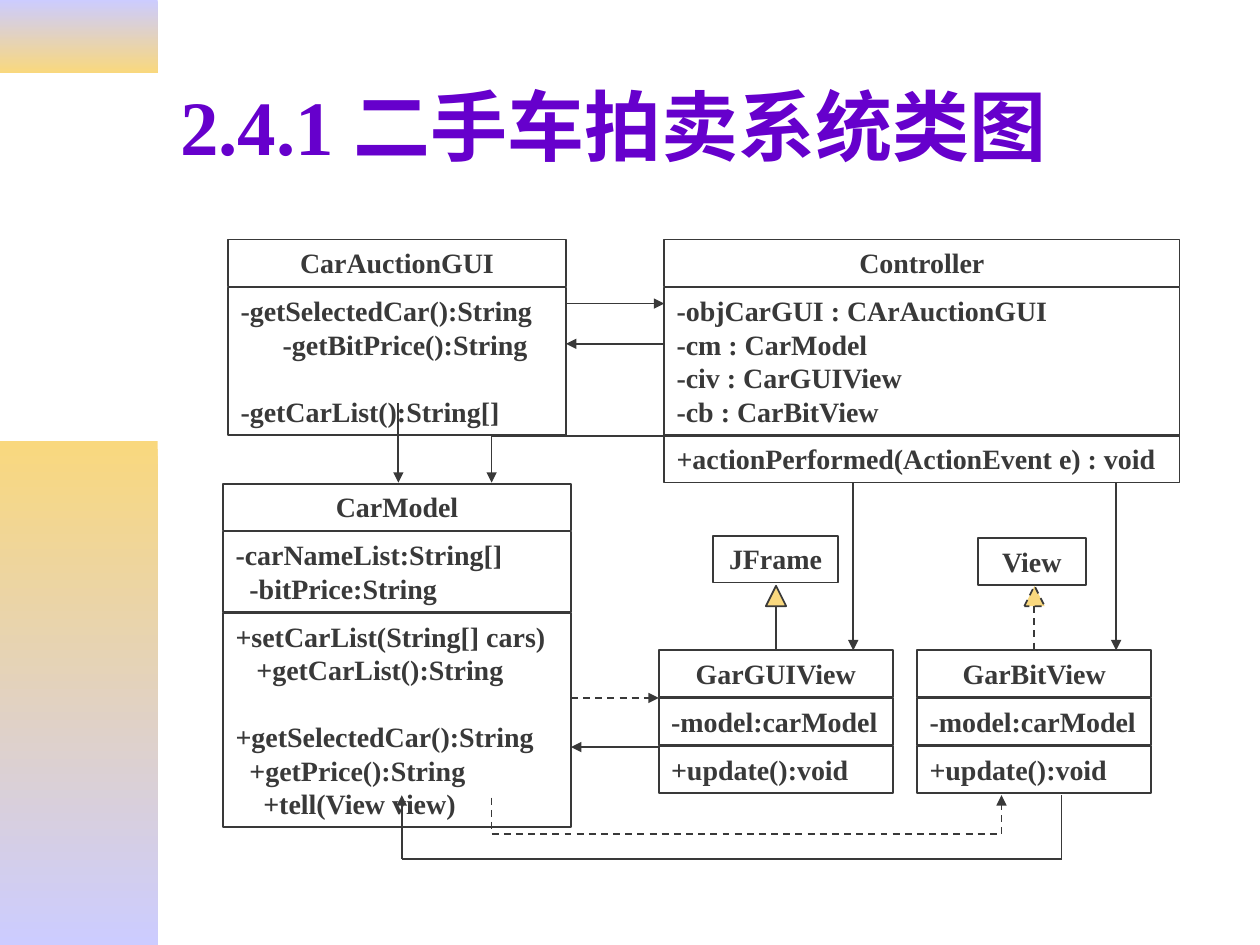
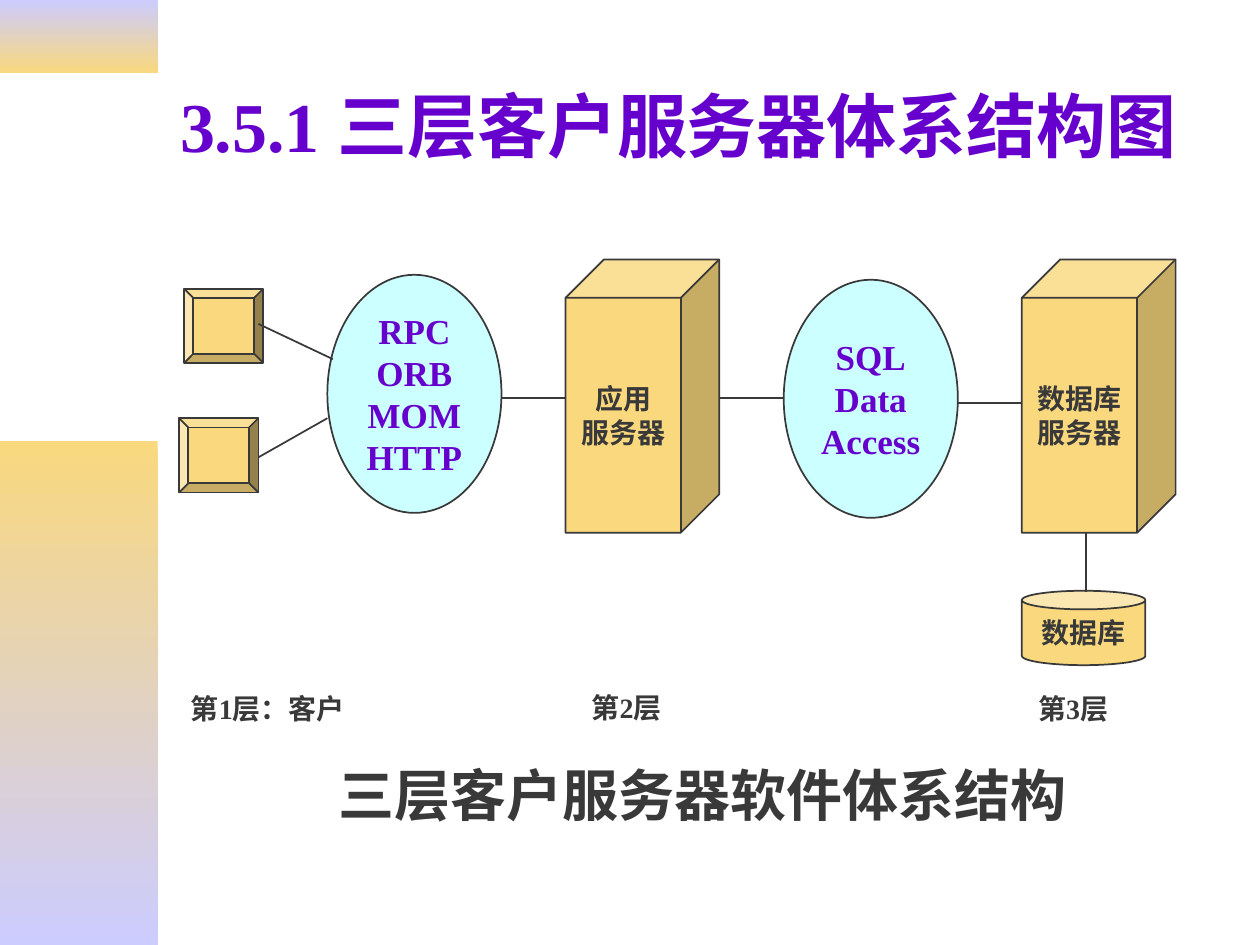
from dataclasses import dataclass
from itertools import pairwise

from lxml import etree
from pptx import Presentation
from pptx.dml.color import RGBColor
from pptx.enum import dml, shapes, text
from pptx.oxml.ns import qn
from pptx.util import Cm, Pt


@dataclass(frozen=True)
class Theme:
    """Colours, type sizes and line width shared by the slides."""
    font: str = "Times New Roman"
    ink: str = "393939"
    purple: str = "6600CC"
    gold: str = "F9D87E"
    lilac: str = "CCCCFF"
    aqua: str = "CCFFFF"
    body_size: int = 16
    oval_size: int = 20
    caption_size: int = 32
    line_width: float = 1


@dataclass(frozen=True)
class Box:
    """A rectangle in centimetres."""
    left: float
    top: float
    width: float
    height: float

    def inner(self, left, top, width, height):
        """Return a box placed relative to this one."""
        return Box(self.left + left, self.top + top, width, height)

    def point(self, x, y):
        """Return a point placed relative to this box."""
        return self.left + x, self.top + y

    def lengths(self):
        """Return the four lengths for python-pptx."""
        return [Cm(value) for value in (self.left, self.top, self.width, self.height)]


@dataclass(frozen=True)
class Line:
    """One line of text with its indent in centimetres and space before in points."""
    words: str
    indent: float = 0
    before: float = 0


THEME = Theme()
SHAPE = shapes.MSO_SHAPE
ALIGN = text.PP_ALIGN
ANCHOR = text.MSO_ANCHOR
SKIPPED_LINE = 19
TITLE_BOX = Box(3.38, 0.84, 21.59, 3.35)
CAPTION_BOX = Box(3.38, 15.21, 21.59, 1.7)


def write(shape, lines, *, size=THEME.body_size, color=THEME.ink,
          align=ALIGN.LEFT, anchor=ANCHOR.TOP, wrap=True):
    """Write lines of bold text into a shape."""
    frame = shape.text_frame
    frame.word_wrap = wrap
    frame.vertical_anchor = anchor
    for index, line in enumerate(lines):
        line = line if isinstance(line, Line) else Line(line)
        paragraph = frame.paragraphs[0] if index == 0 else frame.add_paragraph()
        paragraph.alignment = align
        paragraph.space_before = Pt(line.before)
        if line.indent:
            paragraph._p.get_or_add_pPr().set("marL", str(Cm(line.indent)))
        run = paragraph.add_run()
        run.text = line.words
        run.font.name = THEME.font
        run.font.size = Pt(size)
        run.font.bold = True
        run.font.color.rgb = RGBColor.from_string(color)


def add_label(slide, box, words, **text_format):
    """Add a text box holding one line."""
    write(slide.shapes.add_textbox(*box.lengths()), [words], **text_format)


def style_line(line, dashed=False):
    """Give a line the common colour, width and dash."""
    line.color.rgb = RGBColor.from_string(THEME.ink)
    line.width = Pt(THEME.line_width)
    if dashed:
        line.dash_style = dml.MSO_LINE.DASH


def add_figure(slide, kind, box, fill=None, dashed=False):
    """Add an outlined shape, filled when a colour is given."""
    shape = slide.shapes.add_shape(kind, *box.lengths())
    shape.shadow.inherit = False
    if fill:
        shape.fill.solid()
        shape.fill.fore_color.rgb = RGBColor.from_string(fill)
    else:
        shape.fill.background()
    style_line(shape.line, dashed)
    return shape


def add_route(slide, points, dashed=False, arrow=False):
    """Join points with straight connectors and return the last one."""
    for (x1, y1), (x2, y2) in pairwise(points):
        connector = slide.shapes.add_connector(
            shapes.MSO_CONNECTOR.STRAIGHT, Cm(x1), Cm(y1), Cm(x2), Cm(y2))
        style_line(connector.line, dashed)
        etree.SubElement(connector._element.spPr, qn("a:effectLst"))
    if arrow:
        etree.SubElement(connector.line._get_or_add_ln(), qn("a:tailEnd"), type="triangle")
    return connector


def add_band(slide, box, top_color, bottom_color):
    """Add a side band that blends downwards between two colours."""
    band = slide.shapes.add_shape(SHAPE.RECTANGLE, *box.lengths())
    band.shadow.inherit = False
    band.line.fill.background()
    band.fill.gradient()
    band.fill.gradient_angle = 270
    for stop, position, color in zip(band.fill.gradient_stops, (0, 1), (top_color, bottom_color)):
        stop.position = position
        stop.color.rgb = RGBColor.from_string(color)


def add_slide(presentation, title, title_size):
    """Add a slide with the side bands and a title."""
    slide = presentation.slides.add_slide(presentation.slide_layouts[6])
    add_band(slide, Box(0, 0, 3.18, 1.47), THEME.lilac, THEME.gold)
    add_band(slide, Box(0, 8.89, 3.18, 10.16), THEME.gold, THEME.lilac)
    add_label(slide, TITLE_BOX, title, size=title_size,
              color=THEME.purple, anchor=ANCHOR.MIDDLE)
    return slide


def add_class(slide, box, name, *sections):
    """Stack a class name and its sections, and return the name row."""
    top, rows = 0, []
    for lines in ([name], *sections):
        line_count = len(lines) + sum(
            isinstance(line, Line) and line.before > 0 for line in lines)
        height = 0.27 + 0.675 * line_count
        row = add_figure(slide, SHAPE.RECTANGLE, box.inner(0, top, box.width, height))
        write(row, lines, align=ALIGN.LEFT if rows else ALIGN.CENTER)
        rows.append(row)
        top += height + 0.02
    return rows[0]


def add_inheritance(slide, area, child_name, center, dashed=False):
    """Draw a hollow arrow upwards from a class name row."""
    add_figure(slide, SHAPE.ISOSCELES_TRIANGLE, area.inner(center - 0.2, 7.01, 0.41, 0.41),
               THEME.gold, dashed)
    stem = add_route(slide, [area.point(center, 7.42), area.point(center, 8.31)], dashed)
    stem.end_connect(child_name, 0)


def draw_class_diagram(slide, area):
    """Draw the auction classes and their relations inside an area."""
    add_class(slide, area.inner(0.1, 0.03, 6.81, 3.95), "CarAuctionGUI", [
        "-getSelectedCar():String",
        Line("-getBitPrice():String", indent=0.85),
        Line("-getCarList():String[]", before=SKIPPED_LINE)])
    add_class(slide, area.inner(8.89, 0.03, 10.39, 4.9), "Controller", [
        "-objCarGUI : CArAuctionGUI", "-cm : CarModel",
        "-civ : CarGUIView", "-cb : CarBitView",
    ], ["+actionPerformed(ActionEvent e) : void"])
    add_class(slide, area.inner(0, 4.95, 7.01, 6.92), "CarModel", [
        "-carNameList:String[]",
        Line("-bitPrice:String", indent=0.28),
    ], [
        "+setCarList(String[] cars)",
        Line("+getCarList():String", indent=0.42),
        Line("+getSelectedCar():String", before=SKIPPED_LINE),
        Line("+getPrice():String", indent=0.28),
        Line("+tell(View view)", indent=0.56)])
    add_class(slide, area.inner(9.88, 6, 2.51, 0.95), "JFrame")
    add_class(slide, area.inner(15.21, 6.05, 2.18, 0.95), "View")

    for name, left, dashed in (("GarGUIView", 8.78, False), ("GarBitView", 13.99, True)):
        view_box = area.inner(left, 8.31, 4.72, 2.88)
        view_name = add_class(slide, view_box, name, ["-model:carModel"], ["+update():void"])
        add_inheritance(slide, area, view_name, left + view_box.width / 2, dashed)

    solid_routes = [
        [(12.7, 4.93), (12.7, 8.31)],
        [(18, 4.93), (18, 8.31)],
        [(6.91, 1.32), (8.89, 1.32)],
        [(8.89, 2.13), (6.91, 2.13)],
        [(3.53, 3.33), (3.53, 4.93)],
        [(8.89, 3.99), (5.41, 3.99), (5.41, 4.93)],
        [(8.78, 10.26), (7.01, 10.26)],
        [(16.9, 11.23), (16.9, 12.52), (3.6, 12.52), (3.6, 11.23)],
    ]
    dashed_routes = [
        [(7.01, 9.27), (8.78, 9.27)],
        [(5.41, 11.28), (5.41, 12.01), (15.69, 12.01), (15.69, 11.23)],
    ]
    for routes, dashed in ((solid_routes, False), (dashed_routes, True)):
        for route in routes:
            add_route(slide, [area.point(*corner) for corner in route], dashed, arrow=True)


def draw_tiers(slide, area):
    """Draw clients, middleware, servers and tier labels inside an area."""
    centered = dict(align=ALIGN.CENTER, anchor=ANCHOR.MIDDLE, wrap=False)
    for left, top in ((0.11, 0.62), (0.01, 3.23)):
        client = add_figure(slide, SHAPE.BEVEL, area.inner(left, top, 1.6, 1.5), THEME.gold)
        client.adjustments[0] = 0.125
    for left, top, protocols in ((3, 0.34, ["RPC", "ORB", "MOM", "HTTP"]),
                                 (12.2, 0.44, ["SQL", "Data", "Access"])):
        oval = add_figure(slide, SHAPE.OVAL, area.inner(left, top, 3.51, 4.8), THEME.aqua)
        write(oval, protocols, size=THEME.oval_size, color=THEME.purple, **centered)
    for left, role in ((7.8, "应用"), (17, "数据库")):
        server = add_figure(slide, SHAPE.CUBE, area.inner(left, 0.03, 3.1, 5.51), THEME.gold)
        write(server, [role, "服务器"], **centered)
    database = add_figure(slide, SHAPE.CAN, area.inner(17, 6.71, 2.49, 1.5), THEME.gold)
    write(database, ["数据库"], **centered)

    links = [
        [(1.61, 1.33), (3.11, 2.04)],
        [(1.61, 4.02), (3, 3.23)],
        [(6.51, 2.83), (7.8, 2.83)],
        [(10.9, 2.83), (12.2, 2.83)],
        [(15.7, 2.93), (17, 2.93)],
        [(18.29, 5.54), (18.29, 6.74)],
    ]
    for link in links:
        add_route(slide, [area.point(*end) for end in link])
    for left, top, width, tier in ((0, 8.62, 3.86, "第1层：客户"),
                                   (8.08, 8.59, 2.18, "第2层"),
                                   (17.08, 8.62, 2.18, "第3层")):
        add_label(slide, area.inner(left, top, width, 0.94), tier, wrap=False)


def main():
    """Build both slides and save the presentation."""
    presentation = Presentation()
    presentation.slide_width, presentation.slide_height = Cm(25.4), Cm(19.05)

    class_slide = add_slide(presentation, "2.4.1 二手车拍卖系统类图", 44)
    draw_class_diagram(class_slide, Box(4.5, 4.8, 19.28, 12.52))

    tier_slide = add_slide(presentation, "3.5.1 三层客户服务器体系结构图", 40)
    draw_tiers(tier_slide, Box(3.6, 5.2, 20.1, 9.56))
    add_label(tier_slide, CAPTION_BOX, "三层客户服务器软件体系结构",
              size=THEME.caption_size, align=ALIGN.CENTER)

    presentation.save("out.pptx")


if __name__ == "__main__":
    main()
